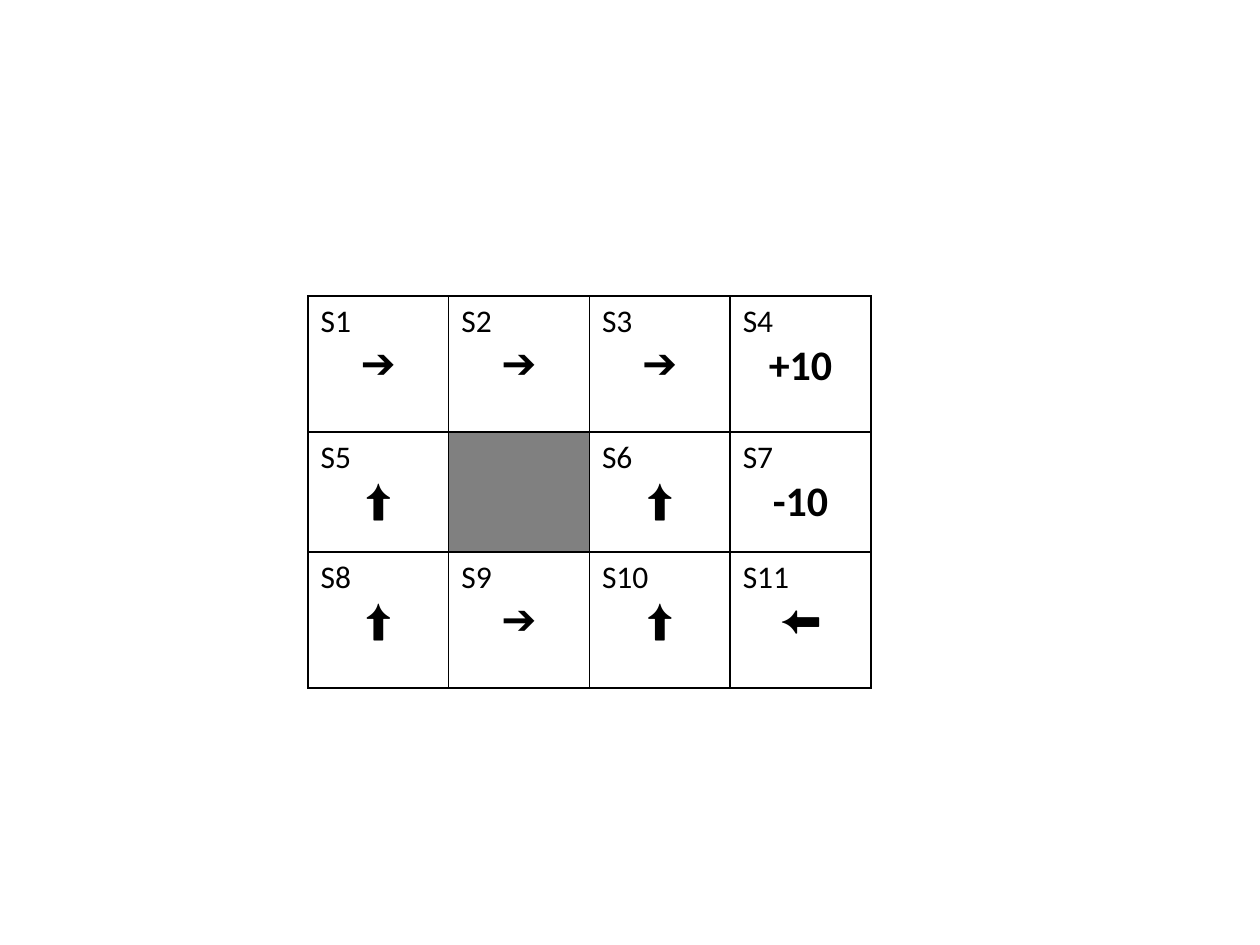
import pptx
import pptx.util
import pptx.dml.color
import pptx.enum.text
import pptx.oxml
import pptx.oxml.ns

PX = 914400 // 126
BLACK = pptx.dml.color.RGBColor(0x00, 0x00, 0x00)
GRAY = pptx.dml.color.RGBColor(0x80, 0x80, 0x80)
RIGHT, UP, LEFT = "\u2794", "\u2b06", "\u2b05"
WALL = None
STATES = [
    [("S1", RIGHT), ("S2", RIGHT), ("S3", RIGHT), ("S4", "+10")],
    [("S5", UP), WALL, ("S6", UP), ("S7", "-10")],
    [("S8", UP), ("S9", RIGHT), ("S10", UP), ("S11", LEFT)],
]
ROW_HEIGHTS = [136, 120, 136]


def style_run(p, font, size, bold=False):
    r = p.runs[0]
    r.font.name = font
    r.font.size = pptx.util.Pt(size)
    r.font.bold = bold
    r.font.color.rgb = BLACK


def add_borders(cell):
    tcPr = cell._tc.get_or_add_tcPr()
    for i, side in enumerate(("lnL", "lnR", "lnT", "lnB")):
        ln = pptx.oxml.parse_xml(
            f'<a:{side} {pptx.oxml.ns.nsdecls("a")} w="12700"><a:solidFill>'
            f'<a:srgbClr val="{BLACK}"/></a:solidFill></a:{side}>')
        tcPr.insert(i, ln)


def fill_cell(cell, state):
    if state is WALL:
        cell.fill.solid()
        cell.fill.fore_color.rgb = GRAY
    else:
        cell.fill.background()
        name, action = state
        tf = cell.text_frame
        tf.text = name
        style_run(tf.paragraphs[0], "Calibri", 18)
        p = tf.add_paragraph()
        p.text = action
        p.alignment = pptx.enum.text.PP_ALIGN.CENTER
        reward = action.endswith("10")
        style_run(p, "Calibri" if reward else "Arial", 24, reward)
    add_borders(cell)


def add_grid_world(s, x, y, w, h):
    table = s.shapes.add_table(len(STATES), len(STATES[0]),
                               x * PX, y * PX, w * PX, h * PX).table
    table.first_row = False
    table.horz_banding = False
    for col in table.columns:
        col.width = w * PX // len(STATES[0])
    for row, height, states in zip(table.rows, ROW_HEIGHTS, STATES):
        row.height = height * h * PX // sum(ROW_HEIGHTS)
        for cell, state in zip(row.cells, states):
            fill_cell(cell, state)


prs = pptx.Presentation()
prs.slide_width = pptx.util.Inches(10)
prs.slide_height = pptx.util.Inches(7.5)
s = prs.slides.add_slide(prs.slide_layouts[6])
add_grid_world(s, 308, 296, 563, 392)
prs.save("out.pptx")
